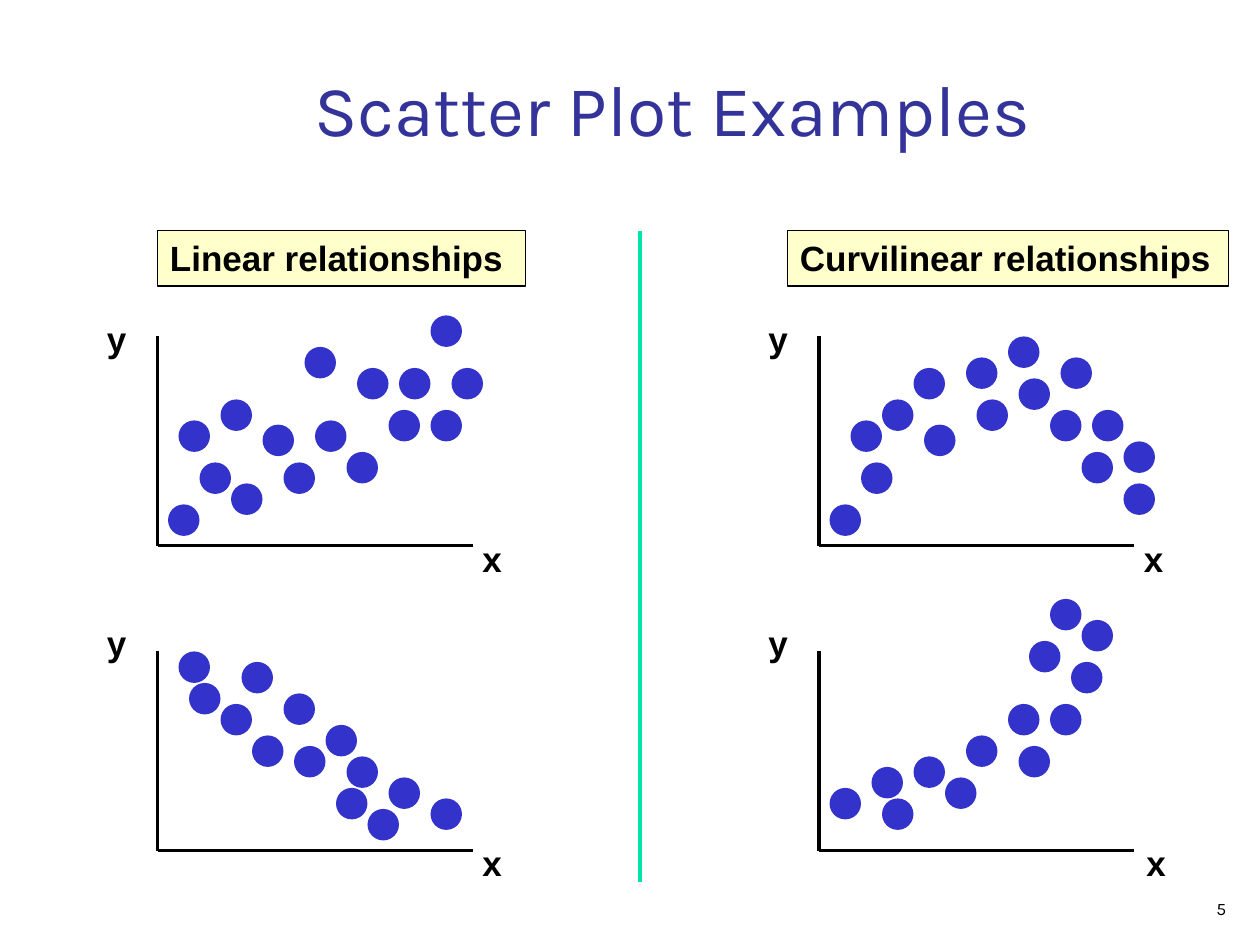
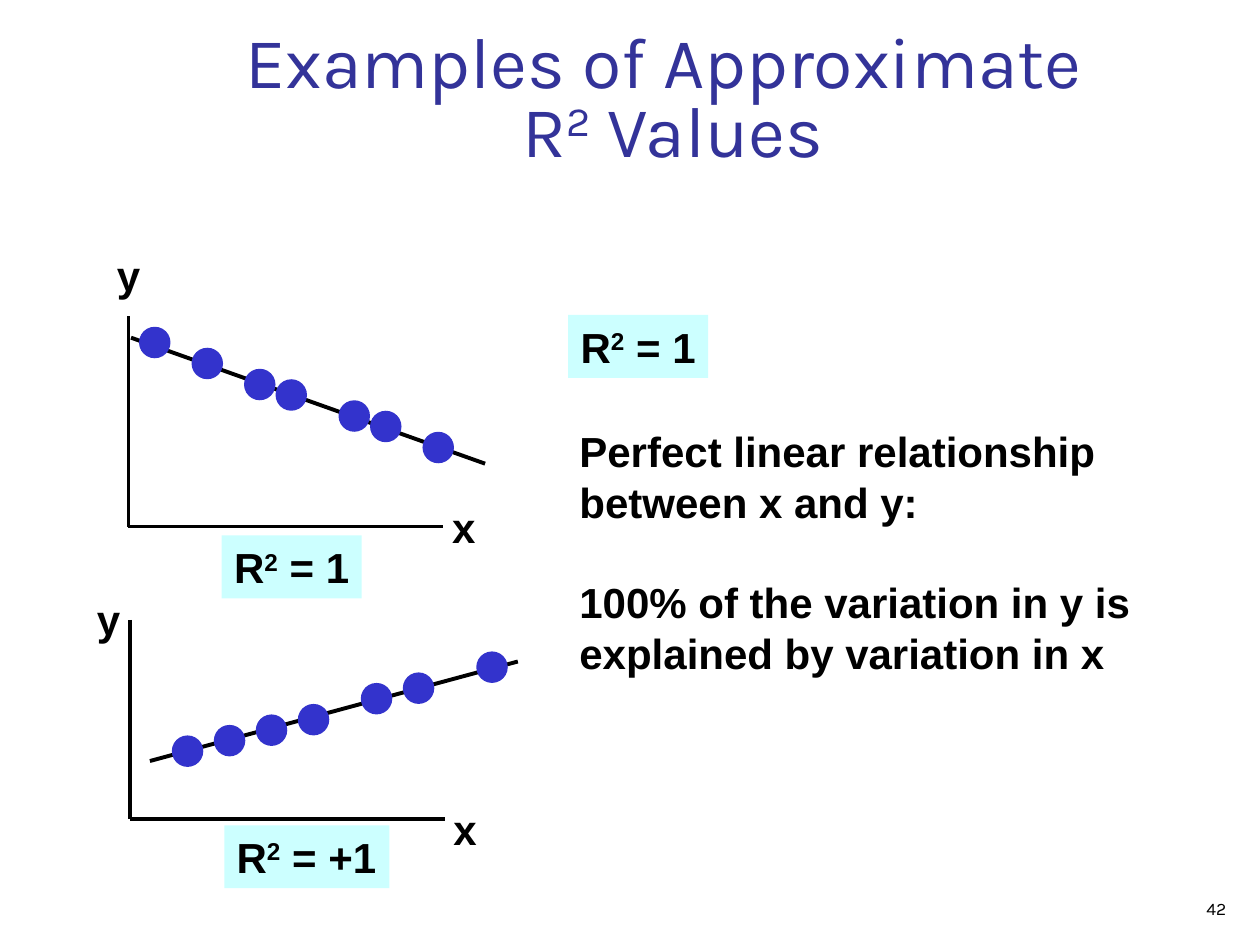
from dataclasses import dataclass

from lxml import etree
from pptx import Presentation
from pptx.dml.color import RGBColor
from pptx.enum.shapes import MSO_CONNECTOR, MSO_SHAPE
from pptx.enum.text import MSO_ANCHOR, PP_ALIGN
from pptx.oxml.ns import qn
from pptx.util import Inches, Pt

STRAIGHT = MSO_CONNECTOR.STRAIGHT
OVAL = MSO_SHAPE.OVAL
TOP, BOTTOM = MSO_ANCHOR.TOP, MSO_ANCHOR.BOTTOM
LEFT, CENTER, RIGHT = PP_ALIGN.LEFT, PP_ALIGN.CENTER, PP_ALIGN.RIGHT


@dataclass(frozen=True)
class Theme:
    """Colours, fonts and sizes shared by the slides."""
    title: RGBColor = RGBColor(0x33, 0x33, 0x99)
    ink: RGBColor = RGBColor(0, 0, 0)
    dot: RGBColor = RGBColor(0x33, 0x33, 0xCC)
    heading: RGBColor = RGBColor(0xFF, 0xFF, 0xCC)
    value: RGBColor = RGBColor(0xCC, 0xFF, 0xFF)
    divider: RGBColor = RGBColor(0, 0xE4, 0xA8)
    display_font: str = "Karla"
    body_font: str = "Arial"
    title_size: int = 41
    large_size: int = 24
    label_size: int = 20
    number_size: int = 10
    axis_width: float = 2
    trend_width: float = 2.25
    axis_length: float = 2.5
    dot_size: float = 0.25
    grid_step: float = 1 / 12


THEME = Theme()


@dataclass(frozen=True)
class Plot:
    """Axes box, label offsets from its origin, dots in grid steps and trend ends."""
    left: float
    top: float
    height: float
    y_label: tuple
    x_label: tuple
    dots: tuple
    trend: tuple = ()


RISING = ((1, 16), (4, 12), (26, -2), (28, 3), (7, 14), (23, 3), (18, 11), (19, 3),
          (14, 1), (2, 8), (6, 6), (10, 8.4), (22, 7), (15, 8), (12, 12), (26, 7))
FALLING = ((20, 15), (3, 3), (26, 14), (8, 1), (18, 10), (22, 12), (12, 4),
           (2, 0), (6, 5), (9, 8), (17, 13), (16, 7), (13, 9))
ARCHED = ((1, 16), (4, 12), (29, 10), (23, 2), (9, 3), (29, 14), (25, 11), (19, 4),
          (14, 2), (3, 8), (6, 6), (10, 8.4), (22, 7), (15, 6), (18, 0), (26, 7))
STEEPENING = ((1, 13), (5, 11), (25, -3), (24, 1), (6, 14), (20, -1), (19, 9),
              (18, 5), (22, -5), (9, 10), (22, 5), (14, 8), (12, 12))
PERFECT_FALL = ((1, 1), (6, 3), (11, 5), (14, 6), (20, 8), (23, 9), (28, 11))
PERFECT_RISE = ((4, 11), (8, 10), (12, 9), (16, 8), (22, 6), (26, 5), (33, 3))

SCATTER_COLUMNS = (
    ("Linear relationships", 1.25, 2.92, 1.25, RISING, FALLING, 2.48),
    ("Curvilinear relationships", 6.25, 3.5, 6.5, ARCHED, STEEPENING, 2.5),
)
PERFECT_PLOTS = (
    Plot(1.02, 2.51, 1.67, (-0.19, -0.58), (2.47, -0.25), PERFECT_FALL,
         (0.02, 0.17, 2.83, 1.17)),
    Plot(1.03, 4.92, 1.58, (-0.36, -0.26), (2.47, -0.17), PERFECT_RISE,
         (0.16, 1.12, 3.08, 0.33)),
)
R_SQUARED_BOXES = (
    (" = 1", 1.76, 4.25, 1.11),
    (" = +1", 1.78, 6.55, 1.31),
    (" = 1", 4.51, 2.5, 1.11),
)


def style_paragraph(paragraph, size, color, font_name, bold=False, align=LEFT):
    """Set the font and alignment of a whole paragraph."""
    paragraph.alignment = align
    font = paragraph.font
    font.size, font.bold, font.name = Pt(size), bold, font_name
    font.color.rgb = color


def write_pieces(paragraph, pieces):
    """Write pieces of text, raising every second one."""
    paragraph.text = pieces[0]
    for index, piece in enumerate(pieces[1:], 1):
        run = paragraph.add_run()
        run.text = piece
        if index % 2:
            run._r.get_or_add_rPr().set("baseline", "30000")


def add_text(slide, box, paragraphs, size, color=THEME.ink, font_name=THEME.body_font,
             bold=True, align=LEFT, anchor=TOP, wrap=True, fill=None):
    """Add a text box; each paragraph is a tuple of pieces."""
    shape = slide.shapes.add_textbox(*map(Inches, box))
    if fill is not None:
        shape.fill.solid()
        shape.fill.fore_color.rgb = fill
    frame = shape.text_frame
    frame.word_wrap, frame.vertical_anchor = wrap, anchor
    for index, pieces in enumerate(paragraphs):
        paragraph = frame.add_paragraph() if index else frame.paragraphs[0]
        write_pieces(paragraph, pieces)
        style_paragraph(paragraph, size, color, font_name, bold, align)
    return shape


def add_line(slide, x1, y1, x2, y2, width, color=THEME.ink):
    """Add a straight line without a shadow."""
    line = slide.shapes.add_connector(STRAIGHT, *map(Inches, (x1, y1, x2, y2)))
    line.line.color.rgb = color
    line.line.width = Pt(width)
    etree.SubElement(line._element.spPr, qn("a:effectLst"))


def add_dot(slide, left, top):
    """Add one data point."""
    size = Inches(THEME.dot_size)
    dot = slide.shapes.add_shape(OVAL, Inches(left), Inches(top), size, size)
    dot.shadow.inherit = False
    dot.fill.solid()
    dot.fill.fore_color.rgb = THEME.dot
    dot.line.fill.background()


def add_plot(slide, plot, label_size):
    """Draw axes, trend line, dots and axis labels from the plot's origin."""
    left, top, bottom = plot.left, plot.top, plot.top + plot.height
    add_line(slide, left, top, left, bottom, THEME.axis_width)
    add_line(slide, left, bottom, left + THEME.axis_length, bottom, THEME.axis_width)
    if plot.trend:
        x1, y1, x2, y2 = plot.trend
        add_line(slide, left + x1, top + y1, left + x2, top + y2, THEME.trend_width)
    for column, row in plot.dots:
        add_dot(slide, left + column * THEME.grid_step, top + row * THEME.grid_step)
    for name, start, (dx, dy) in (("y", top, plot.y_label), ("x", bottom, plot.x_label)):
        add_text(slide, (left + dx, start + dy, 0.38, 0.45), [(name,)], label_size, wrap=False)


def add_slide(presentation, title, title_box, number, line_spacing=1.0):
    """Add a blank slide with its title and page number."""
    slide = presentation.slides.add_slide(presentation.slide_layouts[6])
    heading = add_text(slide, title_box, [title], THEME.title_size, THEME.title,
                       THEME.display_font, False, CENTER, BOTTOM)
    heading.text_frame.paragraphs[0].line_spacing = line_spacing
    add_text(slide, (7.75, 7, 2.08, 0.34), [(number,)], THEME.number_size,
             font_name=THEME.display_font, bold=False, align=RIGHT, anchor=BOTTOM)
    return slide


def build_scatter_slide(presentation):
    """Compare linear with curvilinear scatter plots."""
    slide = add_slide(presentation, ("Scatter Plot Examples",), (1.08, 0.42, 8.52, 0.83), "5")
    for name, left, width, axis_left, upper, lower, lower_x in SCATTER_COLUMNS:
        add_plot(slide, Plot(axis_left, 2.67, 1.66, (-0.5, -0.2), (2.48, -0.11), upper),
                 THEME.label_size)
        add_plot(slide, Plot(axis_left, 5.17, 1.58, (-0.5, -0.29), (lower_x, -0.12), lower),
                 THEME.label_size)
        heading = add_text(slide, (left, 1.83, width, 0.44), [(name,)],
                           THEME.label_size, fill=THEME.heading)
        heading.line.color.rgb = THEME.ink
        heading.line.width = Pt(1)
    add_line(slide, 5.08, 1.83, 5.08, 7, THEME.trend_width, THEME.divider)


def build_r_squared_slide(presentation):
    """Show perfect linear fits and explain their value."""
    slide = add_slide(presentation, ("Examples of Approximate \vR", "2", " Values"),
                      (1.08, 0.33, 8.52, 1.08), "42", 0.8)
    for plot in PERFECT_PLOTS:
        add_plot(slide, plot, THEME.large_size)
    for value, left, top, width in R_SQUARED_BOXES:
        add_text(slide, (left, top, width, 0.5), [("R", "2", value)],
                 THEME.large_size, wrap=False, fill=THEME.value)
    explanation = add_text(slide, (4.5, 3.33, 4.58, 2.1), [
        ("Perfect linear relationship between x and y:",),
        ("100% of the variation in y is explained by variation in x",),
    ], THEME.large_size)
    explanation.text_frame.paragraphs[1].space_before = Pt(THEME.large_size * 1.2)


def main():
    """Build and save the presentation."""
    presentation = Presentation()
    presentation.slide_width, presentation.slide_height = Inches(10), Inches(7.5)
    build_scatter_slide(presentation)
    build_r_squared_slide(presentation)
    presentation.save("out.pptx")


if __name__ == "__main__":
    main()
